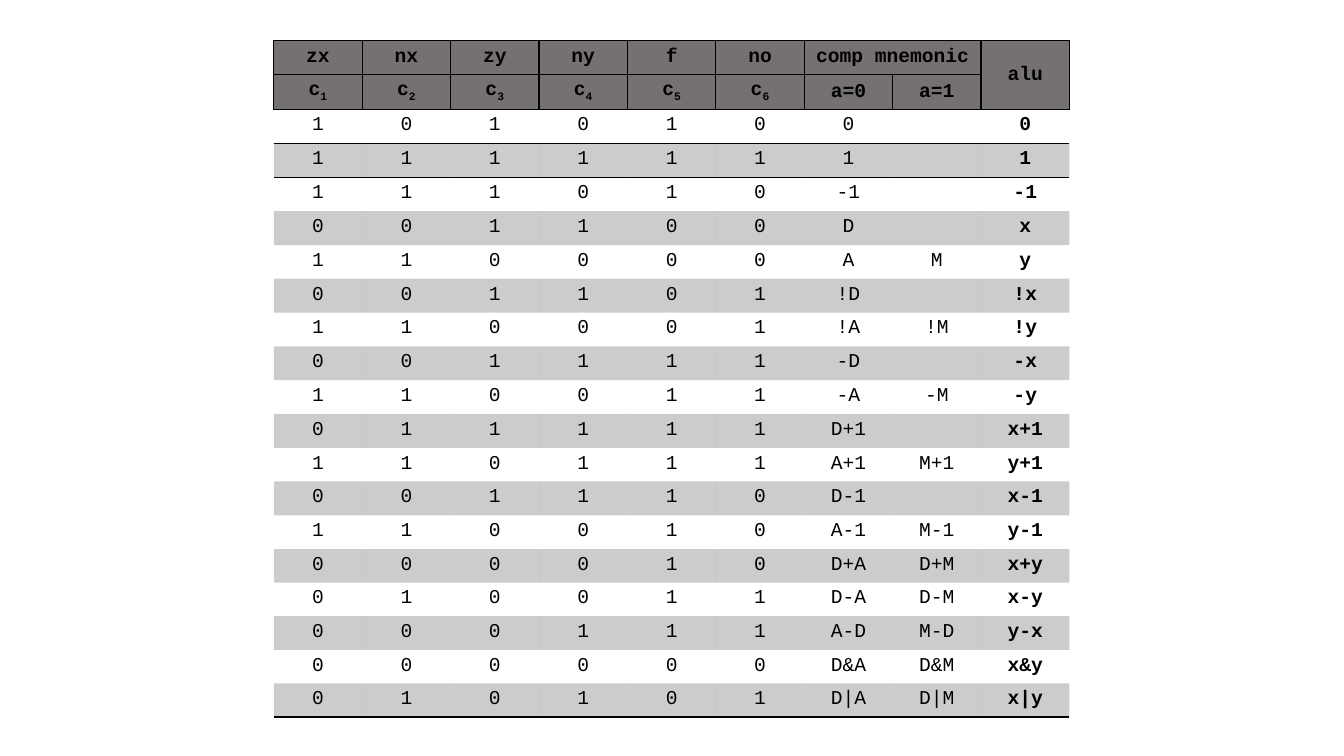
from lxml import etree
from pptx import Presentation
from pptx import util as u
from pptx.dml.color import RGBColor
from pptx.enum import text
from pptx.oxml import ns

BLACK = RGBColor(0x00, 0x00, 0x00)
GREY = RGBColor(0x76, 0x71, 0x71)
FONT = "Courier New"
SIZE = u.Pt(14)
NO_STYLE = "{2D5ABB26-0587-4C30-8999-92F81FD0307C}"

HEAD = [
    ["zx", "nx", "zy", "ny", "f", "no", "comp mnemonic", "", "alu"],
    ["c1", "c2", "c3", "c4", "c5", "c6", "a=0", "a=1", ""],
]
# control bits, mnemonic for a=0, mnemonic for a=1, ALU output
CODES = [
    ("101010", "0", "", "0"),
    ("111111", "1", "", "1"),
    ("111010", "-1", "", "-1"),
    ("001100", "D", "", "x"),
    ("110000", "A", "M", "y"),
    ("001101", "!D", "", "!x"),
    ("110001", "!A", "!M", "!y"),
    ("001111", "-D", "", "-x"),
    ("110011", "-A", "-M", "-y"),
    ("011111", "D+1", "", "x+1"),
    ("110111", "A+1", "M+1", "y+1"),
    ("001110", "D-1", "", "x-1"),
    ("110010", "A-1", "M-1", "y-1"),
    ("000010", "D+A", "D+M", "x+y"),
    ("010011", "D-A", "D-M", "x-y"),
    ("000111", "A-D", "M-D", "y-x"),
    ("000000", "D&A", "D&M", "x&y"),
    ("010101", "D|A", "D|M", "x|y"),
]


def add_tag(parent, tag, **attrs):
    return etree.SubElement(parent, ns.qn(tag), **attrs)


def rule(cell, sides):
    """Draw 1 pt black borders on the sides, given in the order L, R, T, B."""
    props = cell._tc.get_or_add_tcPr()
    for side in sides:
        line = add_tag(props, f"a:ln{side}", w=str(u.Pt(1)))
        add_tag(add_tag(line, "a:solidFill"), "a:srgbClr", val=str(BLACK))


def paint(cell, color, alpha=None):
    cell.fill.solid()
    cell.fill.fore_color.rgb = color
    if alpha:
        tint = cell._tc.tcPr.find(ns.qn("a:solidFill"))[0]
        add_tag(tint, "a:alpha", val=str(alpha * 1000))


def write(cell, label, bold, sub=""):
    """Fill the cell with a label and an optional subscript."""
    para = cell.text_frame.paragraphs[0]
    para.alignment = text.PP_ALIGN.CENTER
    for part in filter(None, (label, sub)):
        run = para.add_run()
        run.text = part
        font = run.font
        font.name, font.size, font.bold = FONT, SIZE, bold
        font.color.rgb = BLACK
        if part is sub:
            run._r.get_or_add_rPr().set("baseline", "-25000")
    if not label:
        # keeps an empty cell from stretching its row
        add_tag(para._p, "a:endParaRPr", sz=str(int(SIZE.pt * 100)))


def fill_head(table):
    for i, labels in enumerate(HEAD):
        for j, label in enumerate(labels):
            cell = table.cell(i, j)
            rule(cell, "LRTB")
            paint(cell, GREY)
            if i == 1 and j < 6:
                write(cell, label[0], True, label[1])
            else:
                write(cell, label, True)
            if j >= 6:
                cell.vertical_anchor = text.MSO_ANCHOR.MIDDLE
    table.cell(0, 6).merge(table.cell(0, 7))
    table.cell(0, 8).merge(table.cell(1, 8))


def fill_body(table):
    last = len(CODES) - 1
    sides = {0: "TB", 1: "T", last: "B"}
    for i, (bits, *names) in enumerate(CODES):
        for j, label in enumerate([*bits, *names]):
            cell = table.cell(i + len(HEAD), j)
            rule(cell, sides.get(i, ""))
            if i % 2:
                paint(cell, BLACK, 20)
            else:
                cell.fill.background()
            write(cell, label, j == 8)


def add_codes(slide, left, top, width, height):
    rows, cols = len(HEAD) + len(CODES), len(HEAD[0])
    frame = slide.shapes.add_table(rows, cols, left, top, width, height)
    table = frame.table
    table._tbl.tblPr.find(ns.qn("a:tableStyleId")).text = NO_STYLE
    table.first_row = table.horz_banding = False
    fill_head(table)
    fill_body(table)


def main():
    deck = Presentation()
    deck.slide_width, deck.slide_height = u.Cm(33.87), u.Cm(19.05)
    slide = deck.slides.add_slide(deck.slide_layouts[6])
    add_codes(slide, u.Cm(6.9), u.Cm(1.03), u.Cm(20.06), u.Cm(16.95))
    deck.save("out.pptx")


if __name__ == "__main__":
    main()
